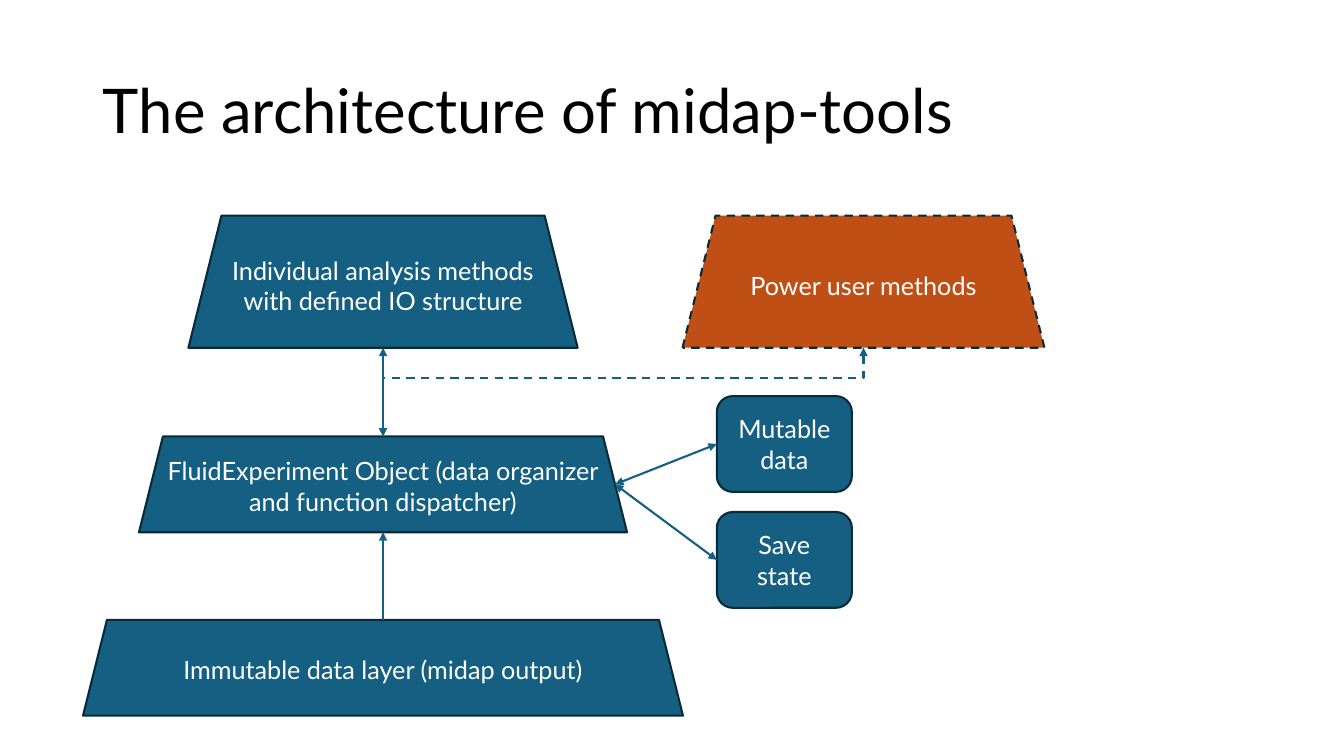
from lxml import etree
from pptx import Presentation, util as u
from pptx.dml.color import RGBColor
from pptx.enum import dml, shapes, text
from pptx.oxml import ns

THEME = {
    "font": "Lato", "title": 44, "body": 18, "line": 1.5,
    "black": "000000", "white": "FFFFFF",
    "blue": "156082", "navy": "092A39", "orange": "C04F15",
}

prs = Presentation()
prs.slide_width, prs.slide_height = u.Inches(13.33), u.Inches(7.5)
COL, ROW = prs.slide_width / 100, prs.slide_height / 100
s = prs.slides.add_slide(prs.slide_layouts[5])


def write(sp, words, size, color, align, spacing):
    tf = sp.text_frame
    tf.word_wrap = True
    tf.vertical_anchor = text.MSO_ANCHOR.MIDDLE
    p = tf.paragraphs[0]
    p.alignment, p.line_spacing = align, spacing
    r = p.add_run()
    r.text = words
    for name, value in {"name": THEME["font"], "size": u.Pt(size), "bold": False}.items():
        setattr(r.font, name, value)
    r.font.color.rgb = RGBColor.from_string(THEME[color])


def style_line(sp, color, dashed, heads=()):
    sp.line.color.rgb = RGBColor.from_string(THEME[color])
    sp.line.width = u.Pt(THEME["line"])
    if dashed:
        sp.line.dash_style = dml.MSO_LINE.DASH
    for end in heads:
        etree.SubElement(sp.line._get_or_add_ln(), ns.qn(f"a:{end}"), type="triangle")


title = s.shapes.title
for name, value in {"left": 6.9 * COL, "top": 5.33 * ROW,
                    "width": 86.25 * COL, "height": 19.33 * ROW}.items():
    setattr(title, name, int(value))
write(title, "The architecture of midap-tools", THEME["title"], "black", text.PP_ALIGN.LEFT, 0.9)

SPINE, POWER, SIDE = 28.5, 64.25, 58.36
LOW, TALL = 12.67, 17.47
TRAPEZOID, ROUNDED = shapes.MSO_SHAPE.TRAPEZOID, shapes.MSO_SHAPE.ROUNDED_RECTANGLE
blocks = [
    ("data", TRAPEZOID, SPINE, 82, 44.64, LOW, "blue", "Immutable data layer (midap output)"),
    ("experiment", TRAPEZOID, SPINE, 57.73, 36.31, LOW, "blue",
     "FluidExperiment Object (data organizer and function dispatcher)"),
    ("analysis", TRAPEZOID, SPINE, 28.53, 28.96, TALL, "blue",
     "Individual analysis methods with defined IO structure"),
    ("power", TRAPEZOID, POWER, 28.53, 26.93, TALL, "orange", "Power user methods"),
    ("mutable", ROUNDED, SIDE, 52.4, 10.05, LOW, "blue", "Mutable data"),
    ("save", ROUNDED, SIDE, 67.73, 10.05, LOW, "blue", "Save state"),
]
box = {}
for key, kind, center, top, width, height, fill, words in blocks:
    sp = s.shapes.add_shape(kind, int((center - width / 2) * COL), int(top * ROW),
                            int(width * COL), int(height * ROW))
    sp.shadow.inherit = False
    sp.fill.solid()
    sp.fill.fore_color.rgb = RGBColor.from_string(THEME[fill])
    style_line(sp, "navy", key == "power")
    write(sp, words, THEME["body"], "white", text.PP_ALIGN.CENTER, 1.0)
    box[key] = sp

BOTH = ("headEnd", "tailEnd")
STRAIGHT, ELBOW = shapes.MSO_CONNECTOR.STRAIGHT, shapes.MSO_CONNECTOR.ELBOW
links = []
for lower, upper, heads in [("data", "experiment", BOTH[1:]), ("experiment", "analysis", BOTH)]:
    sp = s.shapes.add_connector(STRAIGHT, 0, 0, 0, 0)
    sp.begin_connect(box[lower], 0)
    sp.end_connect(box[upper], 2)
    links.append((sp, heads, False))

experiment, power = box["experiment"], box["power"]
run = (POWER - SPINE) * COL
rise = experiment.top - power.top - power.height
mid_x = (SPINE + POWER) / 2 * COL
mid_y = experiment.top - rise / 2
sp = s.shapes.add_connector(ELBOW, int(mid_x + rise / 2), int(mid_y + run / 2),
                            int(mid_x - rise / 2), int(mid_y - run / 2))
spPr = sp._element.spPr
spPr.find(ns.qn("a:xfrm")).set("rot", "5400000")
guides = spPr.find(ns.qn("a:prstGeom")).find(ns.qn("a:avLst"))
etree.SubElement(guides, ns.qn("a:gd"), name="adj1", fmla="val 65600")
links.append((sp, BOTH, True))

slant = experiment.height * 0.25 / 2
for key in ("mutable", "save"):
    sp = s.shapes.add_connector(STRAIGHT, 0, 0,
                                int(experiment.left + experiment.width - slant),
                                int(experiment.top + experiment.height / 2))
    sp.begin_connect(box[key], 1)
    links.append((sp, BOTH, False))

for sp, heads, dashed in links:
    style_line(sp, "blue", dashed, heads)
    etree.SubElement(sp._element.spPr, ns.qn("a:effectLst"))

prs.save("out.pptx")
